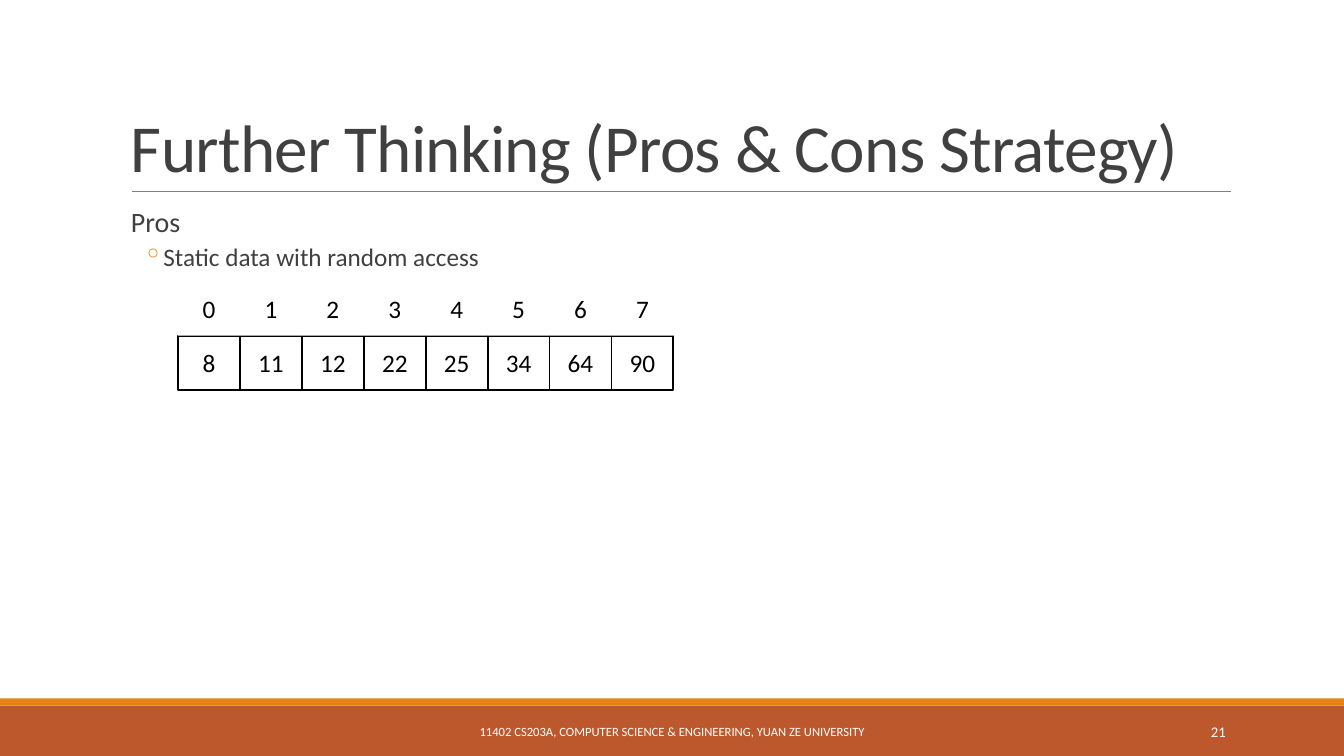
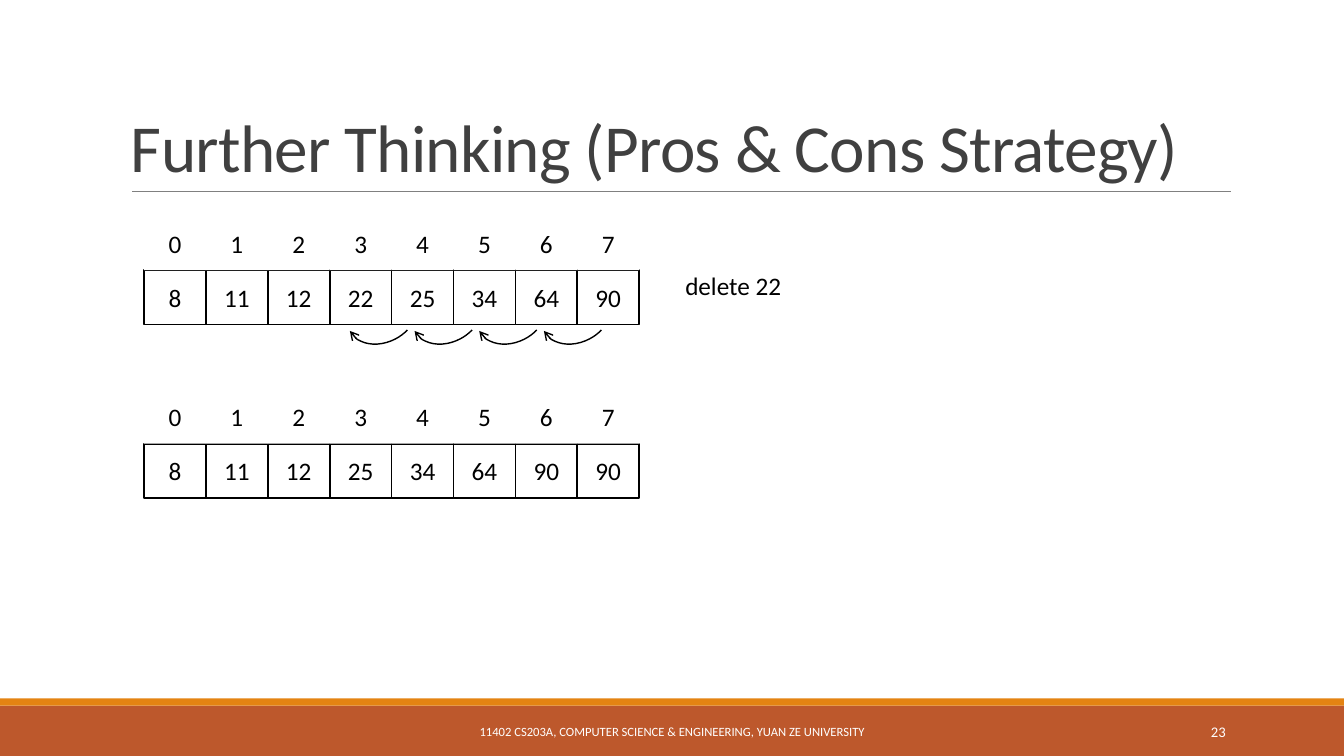
from lxml.etree import SubElement
from pptx import Presentation
from pptx.dml.color import RGBColor
from pptx.enum.shapes import MSO_CONNECTOR, MSO_SHAPE
from pptx.enum.text import MSO_ANCHOR, PP_ALIGN
from pptx.oxml.ns import qn
from pptx.util import Cm, Pt

COLORS = {
    "band": "BD582C",
    "accent": "E48312",
    "rule": "808080",
    "heading": "404040",
    "ink": "000000",
    "paper": "FFFFFF",
}
FONT = "Calibri"
TITLE = "Further Thinking (Pros & Cons Strategy)"
FOOTER = "11402 CS203A, COMPUTER SCIENCE & ENGINEERING, YUAN ZE UNIVERSITY"
CELL_WIDTH, CELL_HEIGHT = 1.56, 1.37
SORTED_DATA = [8, 11, 12, 22, 25, 34, 64, 90]
AFTER_DELETE = [8, 11, 12, 25, 34, 64, 90, 90]


def rgb(name):
    """Return the named palette colour."""
    return RGBColor.from_string(COLORS[name])


def style_paragraph(paragraph, size, color, align=PP_ALIGN.LEFT):
    """Apply alignment and font to a paragraph."""
    paragraph.alignment = align
    for run in paragraph.runs:
        run.font.name = FONT
        run.font.size = Pt(size)
        run.font.color.rgb = rgb(color)


def add_text(slide, box, lines, size, color, align=PP_ALIGN.LEFT,
             anchor=MSO_ANCHOR.TOP, wrap=True):
    """Place a text box and return its text frame."""
    frame = slide.shapes.add_textbox(*map(Cm, box)).text_frame
    frame.word_wrap = wrap
    frame.vertical_anchor = anchor
    frame.text = lines
    for paragraph in frame.paragraphs:
        style_paragraph(paragraph, size, color, align)
    return frame


def add_block(shapes, box, fill, line=None, text=""):
    """Place a flat rectangle with optional outline and centred text."""
    block = shapes.add_shape(MSO_SHAPE.RECTANGLE, *map(Cm, box))
    block.shadow.inherit = False
    block.fill.solid()
    block.fill.fore_color.rgb = rgb(fill)
    if line:
        block.line.color.rgb = rgb(line)
        block.line.width = Pt(1.25)
    else:
        block.line.fill.background()
    if text:
        block.text_frame.text = text
        block.text_frame.vertical_anchor = MSO_ANCHOR.MIDDLE
        style_paragraph(block.text_frame.paragraphs[0], 18, "ink", PP_ALIGN.CENTER)


def add_title(slide, left, top, width, height):
    """Place the title with the rule along the bottom of its box."""
    frame = add_text(slide, (left, top, width, height), TITLE, 48, "heading",
                     anchor=MSO_ANCHOR.BOTTOM)
    heading = frame.paragraphs[0]
    heading.line_spacing = 0.85
    heading.runs[0].font._element.set("spc", "-50")
    bottom = Cm(top + height)
    rule = slide.shapes.add_connector(
        MSO_CONNECTOR.STRAIGHT, Cm(left + 0.28), bottom, Cm(left + 27.96), bottom)
    rule.line.color.rgb = rgb("rule")
    rule.line.width = Pt(0.5)
    SubElement(rule._element.spPr, qn("a:effectLst"))


def add_footer(slide, top, width, number):
    """Place the footer bands, course line and slide number."""
    add_block(slide.shapes, (0, top, width, 1.27), "band")
    add_block(slide.shapes, (0, top - 0.18, width, 0.18), "accent")
    for left, span, label, size, align in (
            (10.24, 13.39, FOOTER, 9, PP_ALIGN.CENTER),
            (27.51, 3.63, str(number), 10.5, PP_ALIGN.RIGHT)):
        add_text(slide, (left, top + 0.15, span, 1.02), label, size, "paper",
                 align, MSO_ANCHOR.MIDDLE)


def add_pros(slide, box):
    """Place the heading and its bulleted point."""
    frame = add_text(slide, box, "Pros\nStatic data with random access", 18, "heading")
    frame.margin_left = frame.margin_right = 0
    heading, point = frame.paragraphs
    heading.runs[0].font.size = Pt(20)
    for paragraph, before, after, margin, indent in (
            (heading, 12, 2, 0.25, 0), (point, 2, 4, 1.07, -0.51)):
        paragraph.line_spacing = 0.9
        paragraph.space_before = Pt(before)
        paragraph.space_after = Pt(after)
        properties = paragraph._p.get_or_add_pPr()
        properties.set("marL", str(Cm(margin)))
        properties.set("indent", str(Cm(indent)))
    bullet_color = SubElement(properties, qn("a:buClr"))
    SubElement(bullet_color, qn("a:srgbClr"), val=COLORS["accent"])
    SubElement(properties, qn("a:buChar"), char="◦")


def add_array(slide, left, top, values):
    """Place a grouped array with its indices above the cells."""
    cells = slide.shapes.add_group_shape().shapes
    rows = ((values, top + CELL_HEIGHT, "ink"), (range(len(values)), top, None))
    for row, row_top, line in rows:
        for column, value in enumerate(row):
            box = (left + column * CELL_WIDTH, row_top, CELL_WIDTH, CELL_HEIGHT)
            add_block(cells, box, "paper", line, str(value))


def add_shift_arrows(slide, left, top, count):
    """Place evenly spaced curved arrows that shift values to the left."""
    for step in range(count):
        arrow = slide.shapes.add_shape(
            MSO_SHAPE.ARC, Cm(left + step * 1.63), Cm(top), Cm(1.85), Cm(1.42))
        arrow.shadow.inherit = False
        arrow.adjustments[0] = 144.14
        arrow.adjustments[1] = 0
        arrow.rotation = 152.4
        arrow.fill.background()
        arrow.line.color.rgb = rgb("ink")
        arrow.line.width = Pt(1)
        SubElement(arrow.line._get_or_add_ln(), qn("a:tailEnd"), type="arrow")


def add_base_slide(deck, number):
    """Add a blank slide with the shared title and footer."""
    slide = deck.slides.add_slide(deck.slide_layouts[6])
    add_footer(slide, 17.78, 33.87, number)
    add_title(slide, 3.05, 0.79, 27.94, 4.04)
    return slide


def build_access_slide(deck):
    """Build the slide on random access."""
    slide = add_base_slide(deck, 21)
    add_pros(slide, (3.05, 5.13, 27.94, 11.18))
    add_array(slide, 4.49, 7.09, SORTED_DATA)


def build_delete_slide(deck):
    """Build the slide on deleting a value."""
    slide = add_base_slide(deck, 23)
    left, top = 3.63, 5.44
    add_array(slide, left, top, SORTED_DATA)
    add_text(slide, (17.02, 6.68, 2.97, 1.02), "delete 22", 18, "ink", wrap=False)
    add_shift_arrows(slide, left + 5.08, top + 1.76, 4)
    add_array(slide, left, top + 4.37, AFTER_DELETE)


def main():
    """Build and save the deck."""
    deck = Presentation()
    deck.slide_width, deck.slide_height = Cm(33.87), Cm(19.05)
    build_access_slide(deck)
    build_delete_slide(deck)
    deck.save("out.pptx")


if __name__ == "__main__":
    main()
